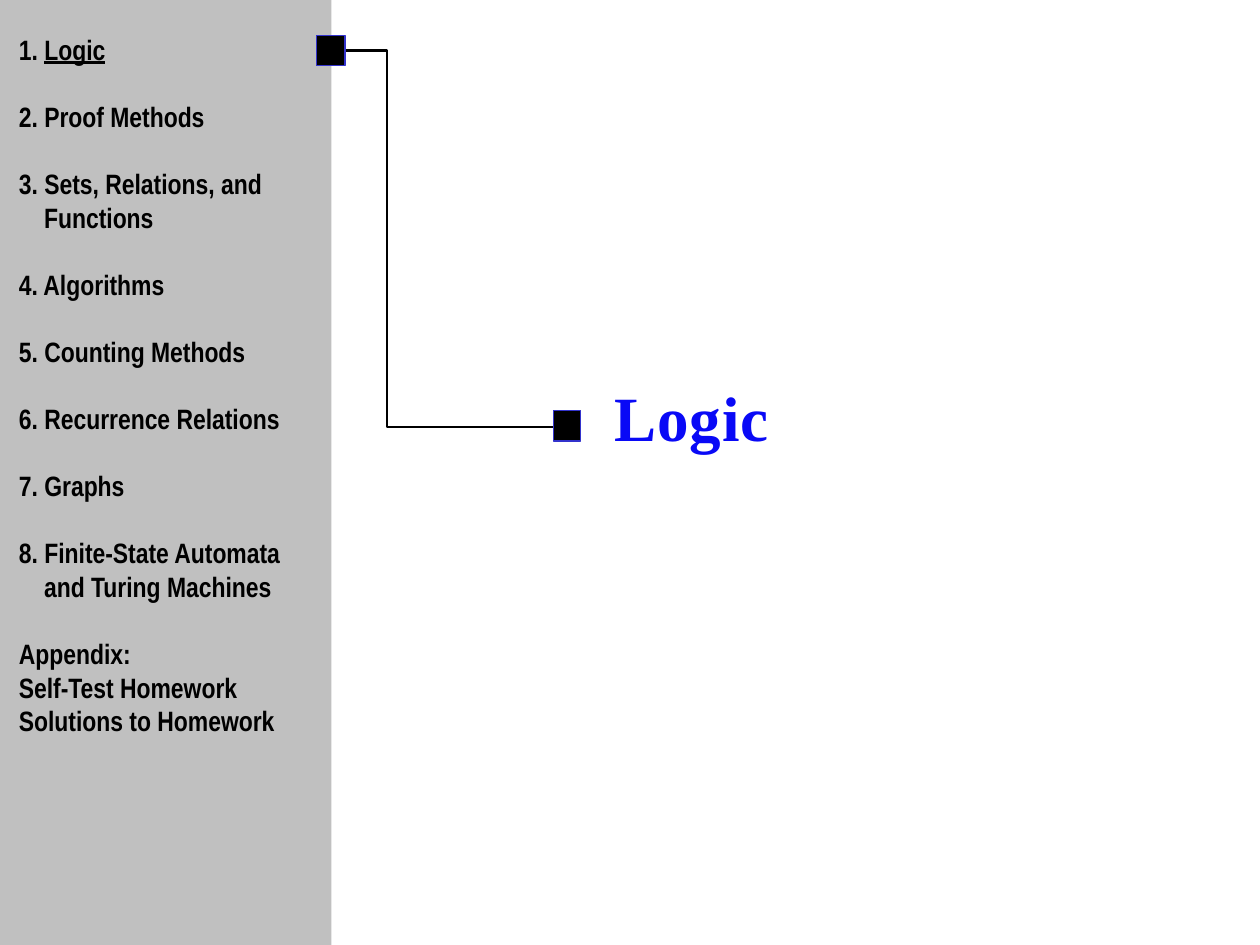
from dataclasses import dataclass

from pptx import Presentation
from pptx.dml.color import RGBColor
from pptx.enum.shapes import MSO_SHAPE
from pptx.enum.text import MSO_ANCHOR, MSO_AUTO_SIZE, PP_ALIGN
from pptx.oxml.xmlchemy import OxmlElement
from pptx.util import Inches, Pt

BLACK = RGBColor(0x00, 0x00, 0x00)
GREY = RGBColor(0xC0, 0xC0, 0xC0)
MARKER_EDGE = RGBColor(0x33, 0x33, 0xCC)
TITLE_COLOURS = ((0.25, RGBColor(0x09, 0x09, 0xF6)), (1, RGBColor(0x01, 0x01, 0xB3)))

LINE_HEIGHT = Pt(19.15)
NUMBER_WIDTH = Inches(0.2)
LIST_FONT = {"name": "Arial Narrow", "size": Pt(16), "bold": True}
TITLE_FONT = {"name": "Times New Roman", "size": Pt(36), "bold": True}


@dataclass
class Block:
    left: float
    top: float
    width: float
    height: float
    fill: RGBColor = BLACK
    edge: RGBColor | None = None


@dataclass
class Chapter:
    lines: tuple[str, ...]
    number: str = ""
    current: bool = False


SIDEBAR = Block(-0.01, 0, 2.64, 7.5, GREY)
MARKERS = (
    Block(4.39, 3.26, 0.22, 0.24, edge=MARKER_EDGE),
    Block(2.51, 0.28, 0.23, 0.24, edge=MARKER_EDGE),
)
ROUTE = ((2.54, 0.4), (3.07, 0.4), (3.07, 3.39), (4.39, 3.39))
CHAPTERS = (
    Chapter(("Logic",), "1. ", current=True),
    Chapter(("Proof Methods",), "2. "),
    Chapter(("Sets, Relations, and", "Functions"), "3. "),
    Chapter(("Algorithms",), "4. "),
    Chapter(("Counting Methods",), "5. "),
    Chapter(("Recurrence Relations",), "6. "),
    Chapter(("Graphs",), "7. "),
    Chapter(("Finite-State Automata", "and Turing Machines"), "8. "),
    Chapter(("Appendix:", "Self-Test Homework", "Solutions to Homework")),
)


def apply_format(target, values: dict) -> None:
    for name, value in values.items():
        setattr(target, name, value)


def place(box, left: float, top: float, width: float, height: float) -> None:
    apply_format(box, {"left": Inches(left), "top": Inches(top),
                       "width": Inches(width), "height": Inches(height)})


def draw_block(page, block: Block) -> None:
    box = page.shapes.add_shape(
        MSO_SHAPE.RECTANGLE, Inches(block.left), Inches(block.top),
        Inches(block.width), Inches(block.height))
    box.shadow.inherit = False
    box.fill.solid()
    box.fill.fore_color.rgb = block.fill
    if block.edge is None:
        box.line.fill.background()
    else:
        box.line.color.rgb = block.edge
        box.line.width = Pt(0.75)


def draw_route(page, points) -> None:
    start, *others = [(Inches(x), Inches(y)) for x, y in points]
    builder = page.shapes.build_freeform(*start)
    builder.add_line_segments(others, close=False)
    route = builder.convert_to_shape()
    route.shadow.inherit = False
    route.fill.background()
    route.line.color.rgb = BLACK
    route.line.width = Pt(1.5)


def write_title(title, text: str) -> None:
    place(title, 4.77, 2.95, 1.44, 0.71)
    frame = title.text_frame
    apply_format(frame, {"word_wrap": False, "auto_size": MSO_AUTO_SIZE.NONE,
                         "vertical_anchor": MSO_ANCHOR.TOP})
    para = frame.paragraphs[0]
    para.alignment = PP_ALIGN.CENTER
    span = para.add_run()
    span.text = text
    apply_format(span.font, TITLE_FONT)
    span.font.fill.gradient()
    span.font.fill.gradient_angle = 270
    for stop, (position, colour) in zip(span.font.fill.gradient_stops, TITLE_COLOURS):
        stop.position = position
        stop.color.rgb = colour
    span._r.get_or_add_rPr().set("spc", "50")


def add_span(para, text: str, underline: bool = False) -> None:
    span = para.add_run()
    span.text = text
    apply_format(span.font, LIST_FONT | {"underline": underline})
    span.font.color.rgb = BLACK


def indent(para, margin: int, first_line: int) -> None:
    properties = para._p.get_or_add_pPr()
    properties.set("marL", str(margin))
    properties.set("indent", str(first_line))
    properties.append(OxmlElement("a:buNone"))


def write_chapters(body, chapters) -> None:
    place(body, 0.05, 0.21, 2.61, 6.03)
    frame = body.text_frame
    apply_format(frame, {"word_wrap": True, "auto_size": MSO_AUTO_SIZE.NONE,
                         "vertical_anchor": MSO_ANCHOR.TOP})
    para = frame.paragraphs[0]
    for chapter in chapters:
        margin = NUMBER_WIDTH if chapter.number else 0
        for index, line in enumerate(chapter.lines):
            first = index == 0
            if chapter is not chapters[0] or not first:
                para = frame.add_paragraph()
            new_chapter = first and chapter is not chapters[0]
            para.space_before = LINE_HEIGHT if new_chapter else Pt(0)
            indent(para, margin, -margin if first else 0)
            if first and chapter.number:
                add_span(para, chapter.number)
            add_span(para, line, chapter.current)


def main() -> None:
    deck = Presentation()
    deck.slide_width, deck.slide_height = Inches(10), Inches(7.5)
    page = deck.slides.add_slide(deck.slide_layouts[1])
    write_title(page.shapes.title, "Logic")
    draw_block(page, SIDEBAR)
    draw_route(page, ROUTE)
    for marker in MARKERS:
        draw_block(page, marker)
    body = page.placeholders[1]
    write_chapters(body, CHAPTERS)
    page.shapes._spTree.append(body._element)  # bring the list in front of the sidebar
    deck.save("out.pptx")


if __name__ == "__main__":
    main()
